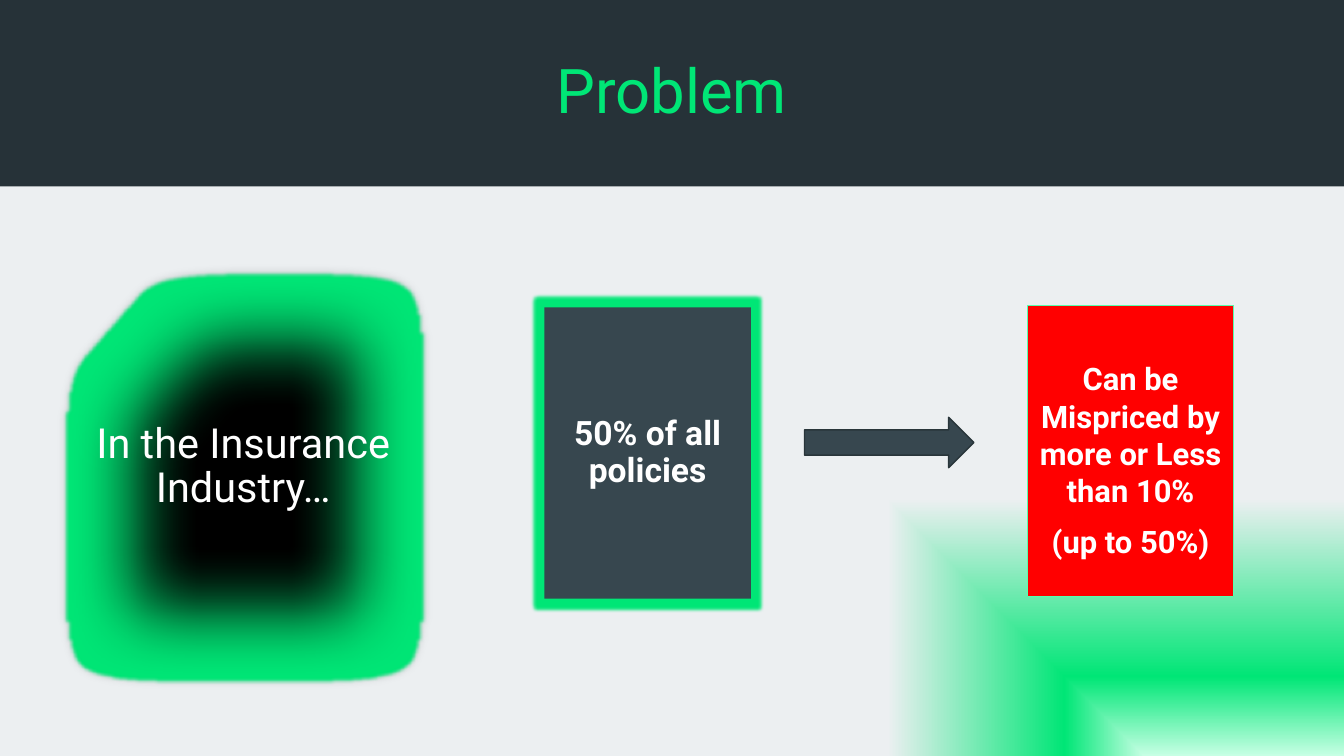
from lxml.etree import SubElement
from pptx import Presentation
from pptx.dml.color import RGBColor
from pptx.enum.shapes import MSO_SHAPE
from pptx.enum.text import MSO_ANCHOR, PP_ALIGN
from pptx.oxml.ns import qn
from pptx.util import Pt

GREEN = "00E676"
SLATE = "37474F"
WHITE = "FFFFFF"


def color(value):
    """Turn a hex string into a colour."""
    return RGBColor.from_string(value)


def add_node(parent, tag, **attributes):
    """Append a DrawingML element with the given attributes."""
    values = {key: str(value) for key, value in attributes.items()}
    return SubElement(parent, qn(f"a:{tag}"), values)


def add_color(parent, value, alpha=100):
    """Append a hex colour with an opacity in percent."""
    node = add_node(parent, "srgbClr", val=value)
    if alpha < 100:
        add_node(node, "alpha", val=alpha * 1000)


def paint_background(slide, stops):
    """Fill the slide with a gradient spreading from the bottom right corner."""
    fill = slide.background.fill
    fill.gradient()
    gradient = slide.element.find(f".//{qn('a:gradFill')}")
    for child in list(gradient):
        gradient.remove(child)
    stop_list = add_node(gradient, "gsLst")
    for position, value in stops:
        add_color(add_node(stop_list, "gs", pos=position * 1000), value)
    focus = add_node(gradient, "path", path="rect")
    add_node(focus, "fillToRect", l=100000, t=100000)


def add_block(slide, kind, box, fill, line=None, line_width=1):
    """Add a filled preset shape without a shadow."""
    block = slide.shapes.add_shape(kind, *(Pt(length) for length in box))
    block.shadow.inherit = False
    block.fill.solid()
    block.fill.fore_color.rgb = color(fill)
    if line:
        block.line.color.rgb = color(line)
        block.line.width = Pt(line_width)
    else:
        block.line.fill.background()
    return block


def add_effects(block, glow, shadow=False, soft_edge=0):
    """Give a shape a green glow, and a shadow and soft edge if asked."""
    effects = block.element.spPr.find(qn("a:effectLst"))
    add_color(add_node(effects, "glow", rad=Pt(glow)), GREEN)
    if shadow:
        cast = add_node(effects, "outerShdw", blurRad=Pt(6), dist=0, dir=13500000)
        add_color(cast, "000000", alpha=20)
    if soft_edge:
        add_node(effects, "softEdge", rad=Pt(soft_edge))


def write(shape, *paragraphs, size, ink=WHITE, bold=False, spacing=1.0,
          anchor=MSO_ANCHOR.MIDDLE, top=3.6):
    """Write centred paragraphs into a shape."""
    frame = shape.text_frame
    frame.word_wrap = True
    frame.vertical_anchor = anchor
    frame.margin_top = Pt(top)
    for index, text in enumerate(paragraphs):
        paragraph = frame.add_paragraph() if index else frame.paragraphs[0]
        paragraph.alignment = PP_ALIGN.CENTER
        paragraph.line_spacing = spacing
        if index:
            paragraph.space_before = Pt(10)
        run = paragraph.add_run()
        run.text = text
        run.font.name = "Roboto"
        run.font.size = Pt(size)
        run.font.bold = bold
        run.font.color.rgb = color(ink)


def main():
    """Build the problem slide."""
    deck = Presentation()
    deck.slide_width, deck.slide_height = Pt(960), Pt(540)
    slide = deck.slides.add_slide(deck.slide_layouts[6])
    paint_background(slide, [(0, "C7FFE4"), (21, GREEN), (68, "ECEFF1")])

    industry_card = add_block(slide, MSO_SHAPE.FLOWCHART_CARD,
                              (46.8, 195.1, 255.6, 290.9), "000000")
    add_effects(industry_card, glow=5, shadow=True, soft_edge=50)

    title = add_block(slide, MSO_SHAPE.RECTANGLE, (0, 0, 960, 133.2), "263238")
    write(title, "Problem", size=44, ink=GREEN, spacing=0.9)

    policies = add_block(slide, MSO_SHAPE.RECTANGLE,
                         (388.8, 219.6, 147.6, 208.1), SLATE)
    add_effects(policies, glow=5)
    write(policies, "50% of all policies", size=24, bold=True, spacing=0.9)

    industry = slide.shapes.add_textbox(Pt(54), Pt(298.1), Pt(239.8), Pt(85))
    write(industry, "In the Insurance Industry…", size=29.6, spacing=0.9,
          anchor=MSO_ANCHOR.TOP)

    mispricing = add_block(slide, MSO_SHAPE.RECTANGLE,
                           (733.7, 218.2, 147.6, 208.1), "FF0000",
                           line="57FFAD", line_width=0.75)
    write(mispricing, "Can be Mispriced by more or Less than 10%",
          "(up to 50%)", size=22.1, bold=True, top=16)

    add_block(slide, MSO_SHAPE.RIGHT_ARROW, (574.6, 298.1, 121, 36), SLATE,
              line="29353A")
    deck.save("out.pptx")


if __name__ == "__main__":
    main()
